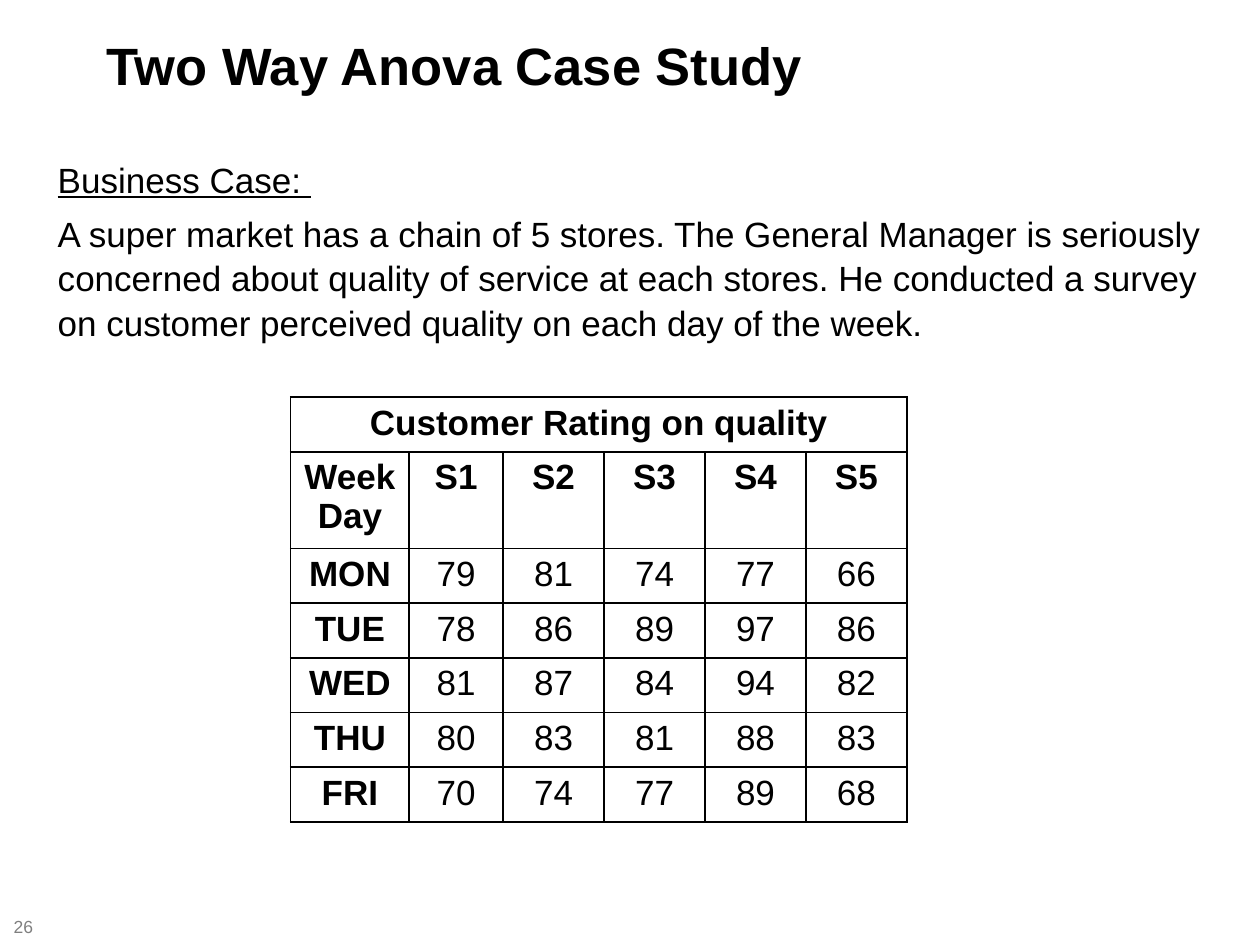
from lxml import etree
from pptx import Presentation
from pptx.dml.color import RGBColor
from pptx.enum.text import MSO_ANCHOR as Anchor, PP_ALIGN as Align
from pptx.oxml.ns import qn
from pptx.util import Pt


def rgb(hex_code):
    return RGBColor.from_string(hex_code)


class Deck:
    FONT = "Arial"
    BLACK, GREY = "000000", "7F7F7F"
    SIZE = 20

    def __init__(self, width, height):
        self.prs = Presentation()
        self.prs.slide_width, self.prs.slide_height = Pt(width), Pt(height)
        self.s = self.prs.slides.add_slide(self.prs.slide_layouts[6])

    def run(self, p, text, size=SIZE, color=BLACK, bold=False, underline=False):
        r = p.add_run()
        r.text = text
        f = r.font
        f.name, f.size, f.bold, f.underline = self.FONT, Pt(size), bold, underline
        f.color.rgb = rgb(color)

    def text(self, box, paragraphs, inset_y=3.6, anchor=Anchor.TOP,
             after=0, spacing=1.0, indent=None, **style):
        """Each paragraph is a (text, underline) pair."""
        tf = self.s.shapes.add_textbox(*map(Pt, box)).text_frame
        tf.word_wrap = True
        tf.vertical_anchor = anchor
        tf.margin_top = tf.margin_bottom = Pt(inset_y)
        for i, (words, underline) in enumerate(paragraphs):
            p = tf.add_paragraph() if i else tf.paragraphs[0]
            p.space_after, p.line_spacing = Pt(after), spacing
            if indent:
                pPr = p._p.get_or_add_pPr()
                pPr.set("marL", str(Pt(indent[0])))
                pPr.set("indent", str(Pt(indent[1])))
            self.run(p, words, underline=underline, **style)

    def border(self, cell, width=1):
        tcPr = cell._tc.get_or_add_tcPr()
        for i, side in enumerate(("lnL", "lnR", "lnT", "lnB")):
            ln = etree.Element(qn(f"a:{side}"), w=str(Pt(width)))
            fill = etree.SubElement(ln, qn("a:solidFill"))
            etree.SubElement(fill, qn("a:srgbClr"), val=self.BLACK)
            tcPr.insert(i, ln)

    def table(self, left, top, widths, heights, rows):
        """First row is a merged heading; second row and first column are bold."""
        frame = self.s.shapes.add_table(len(rows), len(widths), Pt(left), Pt(top),
                                        Pt(sum(widths)), Pt(sum(heights)))
        table = frame.table
        table.first_row = table.horz_banding = False
        for col, width in zip(table.columns, widths):
            col.width = Pt(width)
        for row, height in zip(table.rows, heights):
            row.height = Pt(height)
        table.cell(0, 0).merge(table.cell(0, len(widths) - 1))
        for i in range(len(rows)):
            for j in range(len(widths)):
                cell = table.cell(i, j)
                cell.fill.background()
                self.border(cell)
                if j < len(rows[i]):
                    p = cell.text_frame.paragraphs[0]
                    p.alignment = Align.CENTER
                    self.run(p, str(rows[i][j]), bold=i < 2 or j == 0)


def main():
    deck = Deck(720, 540)

    # Page number
    deck.text((0.72, 523.44, 28.08, 11.52), [("26", False)],
              anchor=Anchor.MIDDLE, size=10, color=deck.GREY)

    # Title
    deck.text((36, 11.52, 648, 43.92), [("Two Way Anova Case Study", False)],
              inset_y=7.2, indent=(36, -18), size=30, bold=True)

    # Business case
    deck.text((25.92, 85.68, 683.28, 110.16), [
        ("Business Case: ", True),
        ("A super market has a chain of 5 stores. The General Manager is seriously "
         "concerned about quality of service at each stores. He conducted a survey "
         "on customer perceived quality on each day of the week.", False),
    ], after=6, spacing=1.05)

    # Ratings by day and store
    rows = [
        ["Customer Rating on quality"],
        ["Week Day", "S1", "S2", "S3", "S4", "S5"],
        ["MON", 79, 81, 74, 77, 66],
        ["TUE", 78, 86, 89, 97, 86],
        ["WED", 81, 87, 84, 94, 82],
        ["THU", 80, 83, 81, 88, 83],
        ["FRI", 70, 74, 77, 89, 68],
    ]
    deck.table(166.1, 226.9, [67.7, 53.7] + [57.7] * 4,
               [31.25, 55] + [31.25] * 5, rows)

    deck.prs.save("out.pptx")


if __name__ == "__main__":
    main()
